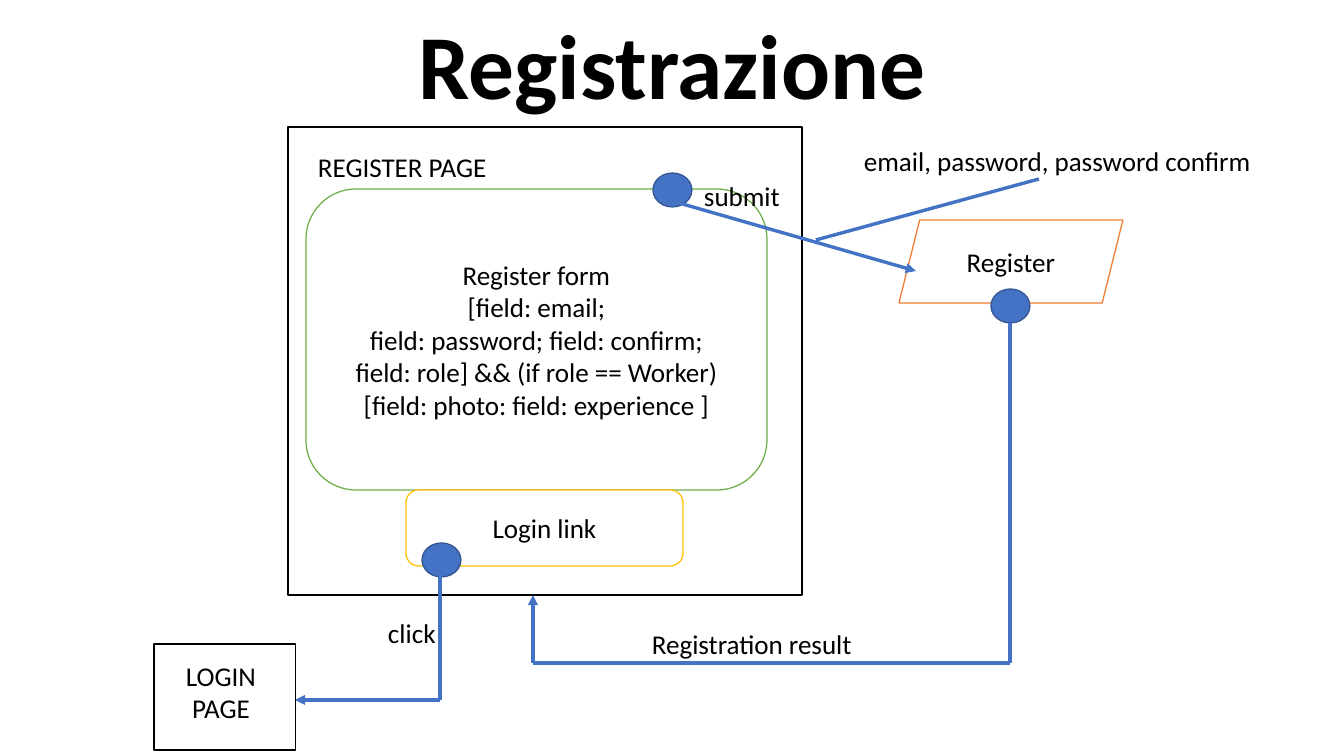
from pptx import Presentation, util as u
from pptx.dml.color import RGBColor
from pptx.enum import shapes, text
from pptx.oxml.ns import qn
from lxml import etree

PX = 914400 / 122
BLUE, WHITE, BLACK = "4472C4", "FFFFFF", "000000"
KIND = shapes.MSO_SHAPE
ROUND = KIND.ROUNDED_RECTANGLE


def px(*vals):
    return [u.Emu(round(v * PX)) for v in vals]


def rgb(code):
    return RGBColor.from_string(code)


deck = Presentation()
deck.slide_width, deck.slide_height = px(1344, 756)
slide = deck.slides.add_slide(deck.slide_layouts[6])
items = slide.shapes

form = """Register form
[field: email;
field: password; field: confirm;
field: role] && (if role == Worker) [field: photo: field: experience ]"""

parts = [
    ("label", (67, 0, 1210, 127), "Registrazione"),
    ("box", (288, 127, 514, 468), "", KIND.RECTANGLE, BLACK),
    ("label", (306, 144, 193, 45), "REGISTER PAGE"),
    ("box", (306, 189, 461, 301), form, ROUND, "70AD47"),
    ("dot", (653, 173)),
    ("box", (899, 220, 224, 83), "Register", KIND.PARALLELOGRAM, "ED7D31"),
    ("arrow", (672, 201, 916, 271)),
    ("label", (692, 173, 100, 45), "submit"),
    ("label", (852, 138, 411, 45), "email, password, password confirm"),
    ("line", (1039, 179, 816, 240)),
    ("dot", (991, 289)),
    ("line", (1010, 323, 1010, 663)),
    ("arrow", (533, 663, 533, 595)),
    ("line", (533, 663, 1010, 663)),
    ("label", (640, 621, 224, 45), "Registration result"),
    ("box", (406, 490, 277, 76), "Login link", ROUND, "FFC000"),
    ("dot", (422, 543)),
    ("line", (440, 564, 440, 700)),
    ("arrow", (440, 700, 295, 700)),
    ("label", (376, 610, 72, 45), "click"),
    ("box", (154, 644, 142, 106), "", KIND.RECTANGLE, BLACK),
    ("label", (174, 653, 94, 77), "LOGIN\nPAGE"),
]

for role, place, *more in parts:
    if role in ("line", "arrow"):
        wire = items.add_connector(shapes.MSO_CONNECTOR.STRAIGHT, *px(*place))
        wire.line.color.rgb = rgb(BLUE)
        wire.line.width = 0
        props = wire._element.spPr
        if role == "arrow":
            etree.SubElement(wire.line._get_or_add_ln(), qn("a:tailEnd"), type="triangle")
        etree.SubElement(props, qn("a:effectLst"))
        continue

    if role == "label":
        item = items.add_textbox(*px(*place))
    else:
        if role == "dot":
            place = (*place, 39, 34)
            kind, fill, edge = KIND.OVAL, BLUE, "325490"
        else:
            kind, edge = more[1:]
            fill = WHITE
        item = items.add_shape(kind, *px(*place))
        item.shadow.inherit = False
        item.fill.solid()
        item.fill.fore_color.rgb = rgb(fill)
        item.line.color.rgb = rgb(edge)
        item.line.width = 0

    words = more[0] if more else ""
    if not words:
        continue
    title = words == "Registrazione"
    frame = item.text_frame
    frame.text = words
    frame.word_wrap = title or role == "box"
    if title or role == "box":
        frame.vertical_anchor = text.MSO_ANCHOR.MIDDLE
        side, edge = (0, 0) if title else (10, 4)
        frame.margin_left, frame.margin_right = px(side, side)
        frame.margin_top, frame.margin_bottom = px(edge, edge)
    center = title or role == "box" or "\n" in words
    for para in frame.paragraphs:
        para.alignment = text.PP_ALIGN.CENTER if center else text.PP_ALIGN.LEFT
        for run in para.runs:
            run.font.name = "Calibri"
            run.font.size = u.Pt(53.9 if title else 16)
            run.font.bold = title
            run.font.color.rgb = rgb(BLACK)

deck.save("out.pptx")
